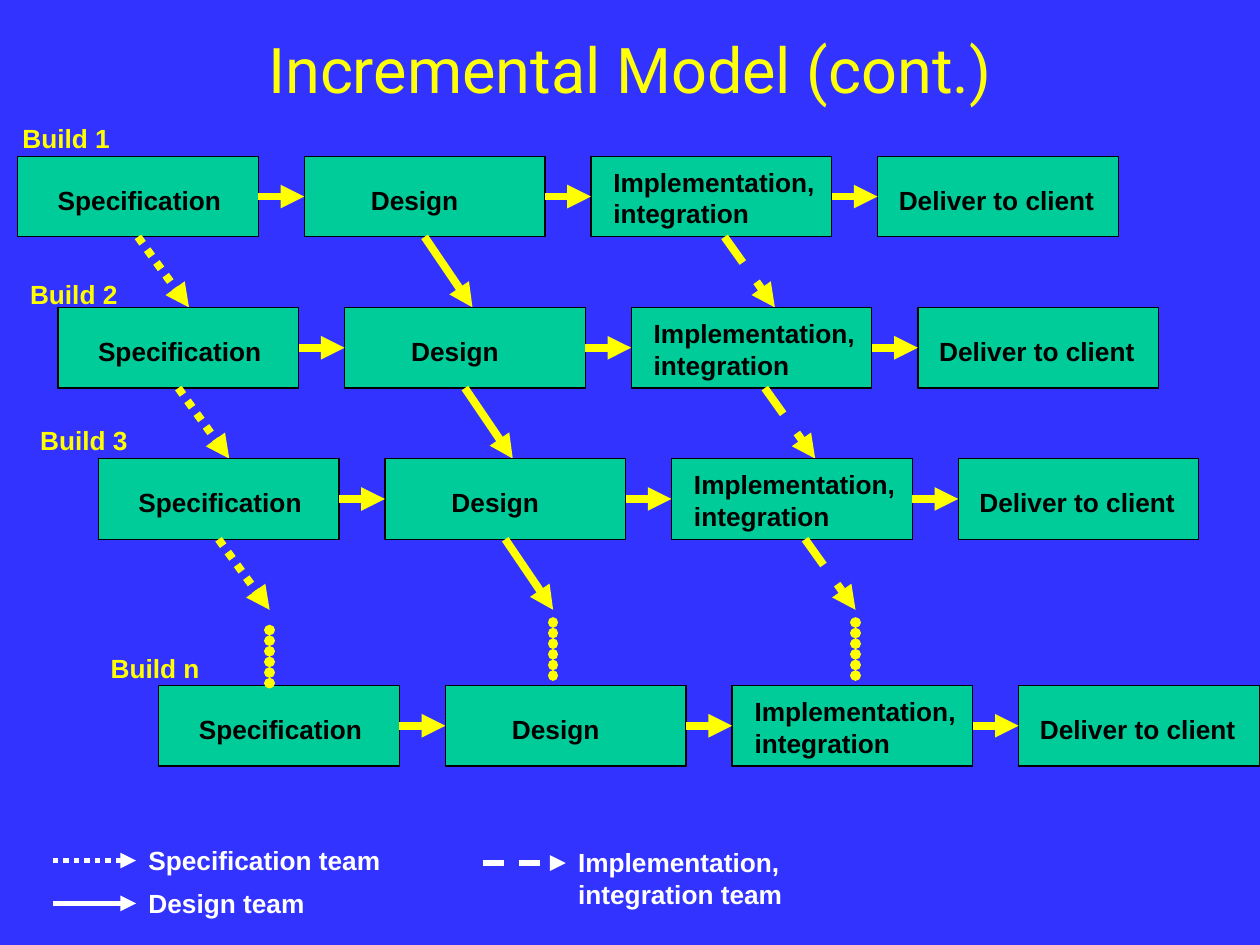
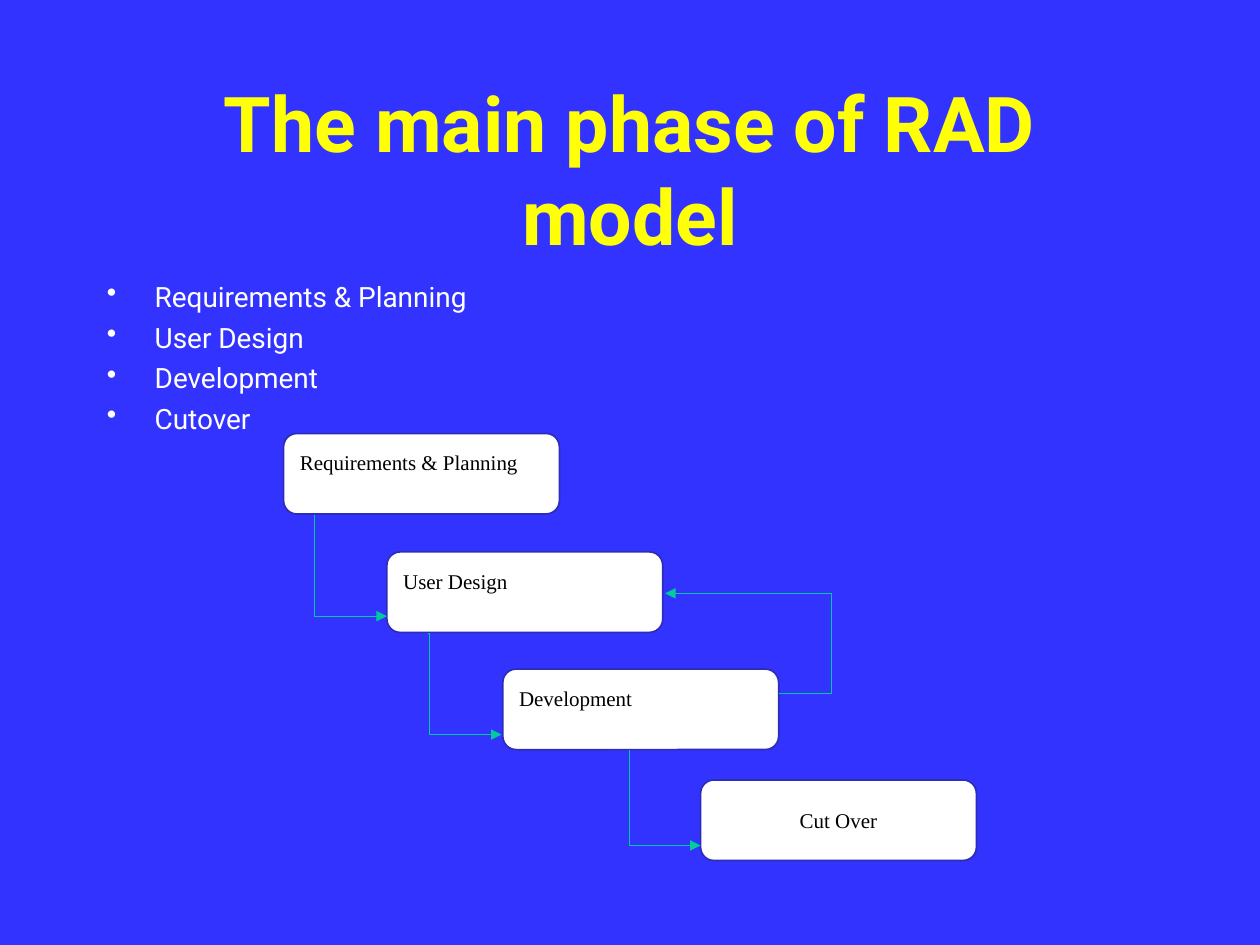
from lxml.etree import SubElement
from pptx import Presentation
from pptx.dml.color import RGBColor
from pptx.enum.dml import MSO_LINE
from pptx.enum.shapes import MSO_CONNECTOR, MSO_SHAPE
from pptx.enum.text import MSO_ANCHOR, PP_ALIGN
from pptx.oxml.ns import qn
from pptx.util import Inches, Pt

COLUMNS, ROWS = 10, 7.5
UNIT = Inches(1)
BLUE, TITLE_YELLOW, YELLOW = "3333FF", "FFFF07", "FFFF00"
GREEN, WHITE, BLACK, NAVY = "00CC99", "FFFFFF", "000000", "2D2DB9"

STAGE_PITCH = 9.1 / 4
STAGE_SIZE = (1.91, 0.64)
STAGES = [
    ("Specification", 0.22, 0.17, 0.35),
    ("Design", 0.43, 0.17, 0.35),
    ("Implementation, integration", 0.08, 0.03, 0.6),
    ("Deliver to client", 0.07, 0.17, 0.35),
]
BUILDS = [
    ("Build 1", 0, 0.08, 0.92),
    ("Build 2", 1, 0.14, 2.16),
    ("Build 3", 2, 0.22, 3.32),
    ("Build n", 3.5, 0.78, 5.13),
]
TEAM_STARTS = (0.96, 3.21, 5.61)
TEAM_DASHES = (MSO_LINE.ROUND_DOT, None, MSO_LINE.DASH)
LEGEND = [
    ("Specification team", 0.42, 6.83, 0.35),
    ("Design team", 0.42, 7.17, 0.35),
    ("Implementation, integration team", 3.83, 6.85, 0.6),
]
PHASES = [
    ("Requirements & Planning", 2.25, 3.44),
    ("User Design", 3.07, 4.38),
    ("Development", 3.99, 5.31),
    ("Cut Over", 5.56, 6.19),
]
PHASE_SIZE = (2.19, 0.64)
PHASE_LINKS = [
    ((2.49, 4.09), (3.07, 4.89), 0.015),
    ((3.4, 5.03), (3.98, 5.83), 0.015),
    ((4.99, 5.96), (5.56, 6.71), 0.015),
    ((6.18, 5.5), (5.28, 4.71), -0.468),
]


def grid(*cells):
    return [round(cell * UNIT) for cell in cells]


def color(value):
    return RGBColor.from_string(value)


def write(frame, text, *, size, font, fill, bold=False, align=PP_ALIGN.LEFT,
          anchor=MSO_ANCHOR.TOP, bullet=None, before=0):
    frame.word_wrap = True
    frame.vertical_anchor = anchor
    for index, line in enumerate(text.split("\n")):
        para = frame.paragraphs[0] if index == 0 else frame.add_paragraph()
        para.alignment = align
        if index:
            para.space_before = Pt(before)
        if bullet:
            add_bullet(para, bullet)
        span = para.add_run()
        span.text = line
        span.font.size = Pt(size)
        span.font.name = font
        span.font.bold = bold
        span.font.color.rgb = color(fill)


def add_bullet(para, character):
    properties = para._p.get_or_add_pPr()
    indent = Inches(0.38)
    properties.set("marL", str(indent))
    properties.set("indent", str(-indent))
    SubElement(properties, qn("a:buChar")).set("char", character)


def add_text(page, text, place, **style):
    box = page.shapes.add_textbox(*grid(*place))
    write(box.text_frame, text, **style)
    return box


def add_label(page, text, place, fill):
    return add_text(page, text, place, size=15, font="Arial", fill=fill, bold=True)


def add_title(page, text, top, height, **style):
    add_text(page, text, (0.75, top, 8.5, height), font="Roboto", fill=TITLE_YELLOW,
             align=PP_ALIGN.CENTER, anchor=MSO_ANCHOR.MIDDLE, **style)


def add_block(page, kind, place, fill, outline, weight):
    block = page.shapes.add_shape(kind, *grid(*place))
    block.shadow.inherit = False
    block.fill.solid()
    block.fill.fore_color.rgb = color(fill)
    block.line.color.rgb = color(outline)
    block.line.width = Pt(weight)
    return block


def add_line(page, start, end, fill, weight, dash=None, arrow=True,
             kind=MSO_CONNECTOR.STRAIGHT):
    line = page.shapes.add_connector(kind, *grid(*start, *end))
    line.line.color.rgb = color(fill)
    line.line.width = Pt(weight)
    if dash:
        line.line.dash_style = dash
    if arrow:
        SubElement(line.line._get_or_add_ln(), qn("a:tailEnd")).set("type", "triangle")
    SubElement(line._element.spPr, qn("a:effectLst"))
    return line


def add_dots(page, x, top):
    dots = add_line(page, (x, top), (x, top + 0.48), YELLOW, 6, arrow=False)
    outline = dots.line._get_or_add_ln()
    outline.set("cap", "rnd")
    pattern = SubElement(SubElement(outline, qn("a:custDash")), qn("a:ds"))
    pattern.set("d", "1000")
    pattern.set("sp", "100000")


def add_elbow(page, start, end, bend):
    elbow = add_line(page, start, end, GREEN, 0.5, kind=MSO_CONNECTOR.ELBOW)
    geometry = elbow._element.spPr.find(qn("a:prstGeom"))
    guide = SubElement(geometry.find(qn("a:avLst")), qn("a:gd"))
    guide.set("name", "adj1")
    guide.set("fmla", f"val {round(bend * 100000)}")


def add_build(page, left, top):
    blocks = []
    for column, (name, inset, drop, height) in enumerate(STAGES):
        x = left + column * STAGE_PITCH
        blocks.append(add_block(page, MSO_SHAPE.RECTANGLE, (x, top, *STAGE_SIZE),
                                GREEN, BLACK, 0.75))
        add_label(page, name, (x + inset, top + drop, 1.84, height), BLACK)
    for before, after in zip(blocks, blocks[1:]):
        arrow = add_line(page, (left, top), (left, top), YELLOW, 4.5)
        arrow.begin_connect(before, 3)
        arrow.end_connect(after, 1)
    return blocks


def add_handovers(page, blocks, left, bottom):
    for column, (start, dash) in enumerate(zip(TEAM_STARTS, TEAM_DASHES)):
        x = left + start
        arrow = add_line(page, (x, bottom), (x + 0.4, bottom + 0.56), YELLOW, 4.5, dash)
        if column < 2:
            arrow.begin_connect(blocks[column], 2)


def build_incremental_page(page):
    add_title(page, "Incremental Model (cont.)", -0.08, 1.25, size=36)
    for name, step, label_left, label_top in BUILDS:
        left, top = 0.14 + 0.32 * step, 1.24 + 1.2 * step
        blocks = add_build(page, left, top)
        add_label(page, name, (label_left, label_top, 1.04, 0.35), YELLOW)
        if name != "Build n":
            add_handovers(page, blocks, left, top + STAGE_SIZE[1])
    for x, top in ((2.14, 5), (4.39, 4.94), (6.79, 4.94)):
        add_dots(page, x, top)
    for (team, x, y, height), dash in zip(LEGEND, TEAM_DASHES):
        add_line(page, (x, y), (x + 0.66, y), WHITE, 3, dash)
        add_label(page, team, (x + 0.66, y - 0.18, 2.17, height), WHITE)


def build_phase_page(page):
    add_title(page, "The main phase of RAD model", 0.67, 1.33, size=44, bold=True)
    add_text(page, "Requirements & Planning\nUser Design\nDevelopment\nCutover",
             (0.75, 2.17, 8.5, 4.92), size=16, font="Roboto", fill=WHITE,
             bullet="•", before=4)
    for name, left, top in PHASES:
        block = add_block(page, MSO_SHAPE.ROUNDED_RECTANGLE, (left, top, *PHASE_SIZE),
                          WHITE, NAVY, 1)
        last = name == "Cut Over"
        block.text_frame.margin_top = Inches(0.05 if last else 0.1)
        write(block.text_frame, name, size=12, font="Times New Roman", fill=BLACK,
              align=PP_ALIGN.CENTER if last else PP_ALIGN.LEFT,
              anchor=MSO_ANCHOR.MIDDLE if last else MSO_ANCHOR.TOP)
    for start, end, bend in PHASE_LINKS:
        add_elbow(page, start, end, bend)


def main():
    deck = Presentation()
    deck.slide_width, deck.slide_height = grid(COLUMNS, ROWS)
    backdrop = deck.slide_master.background.fill
    backdrop.solid()
    backdrop.fore_color.rgb = color(BLUE)
    for build_page in (build_incremental_page, build_phase_page):
        build_page(deck.slides.add_slide(deck.slide_layouts[6]))
    deck.save("out.pptx")


if __name__ == "__main__":
    main()
